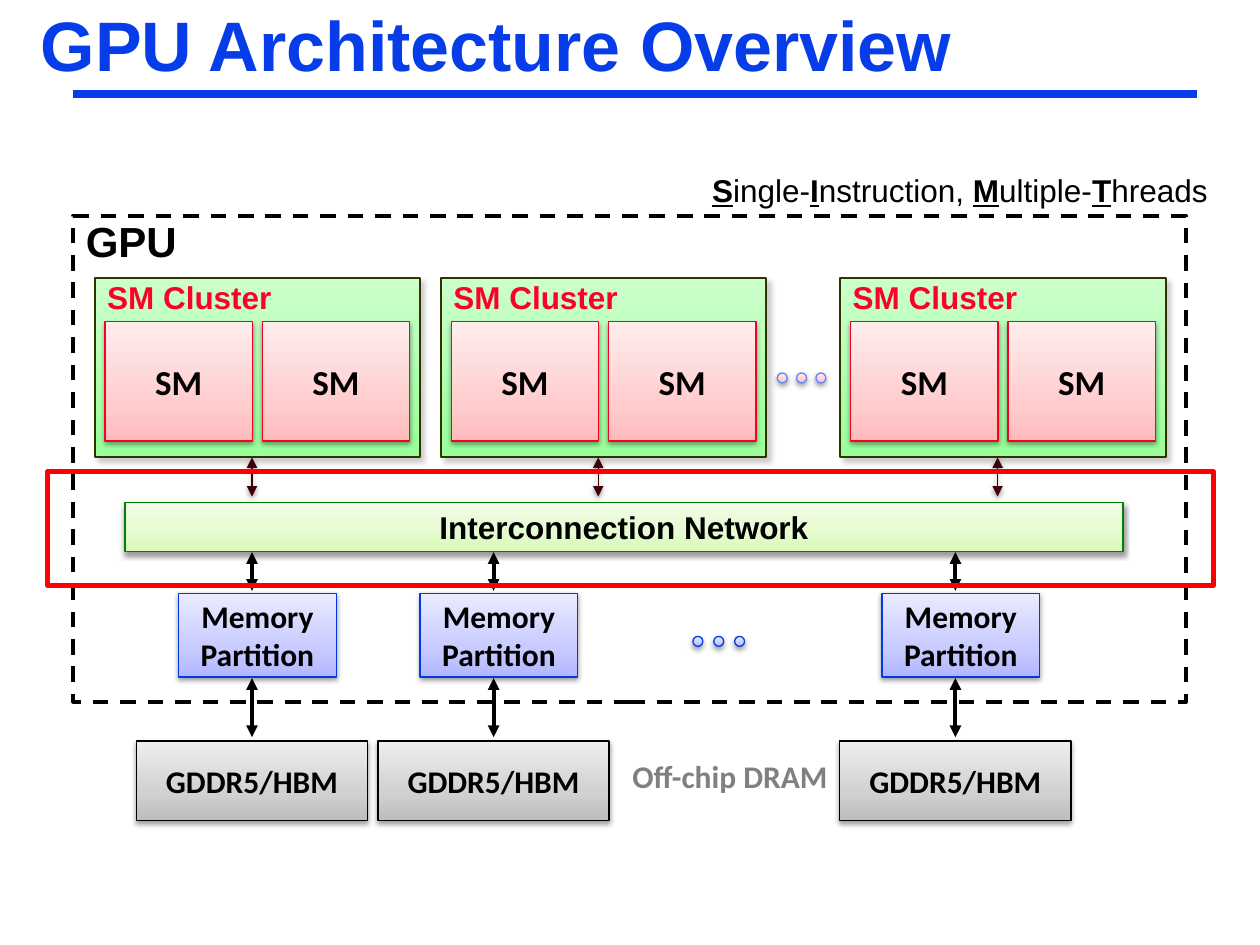
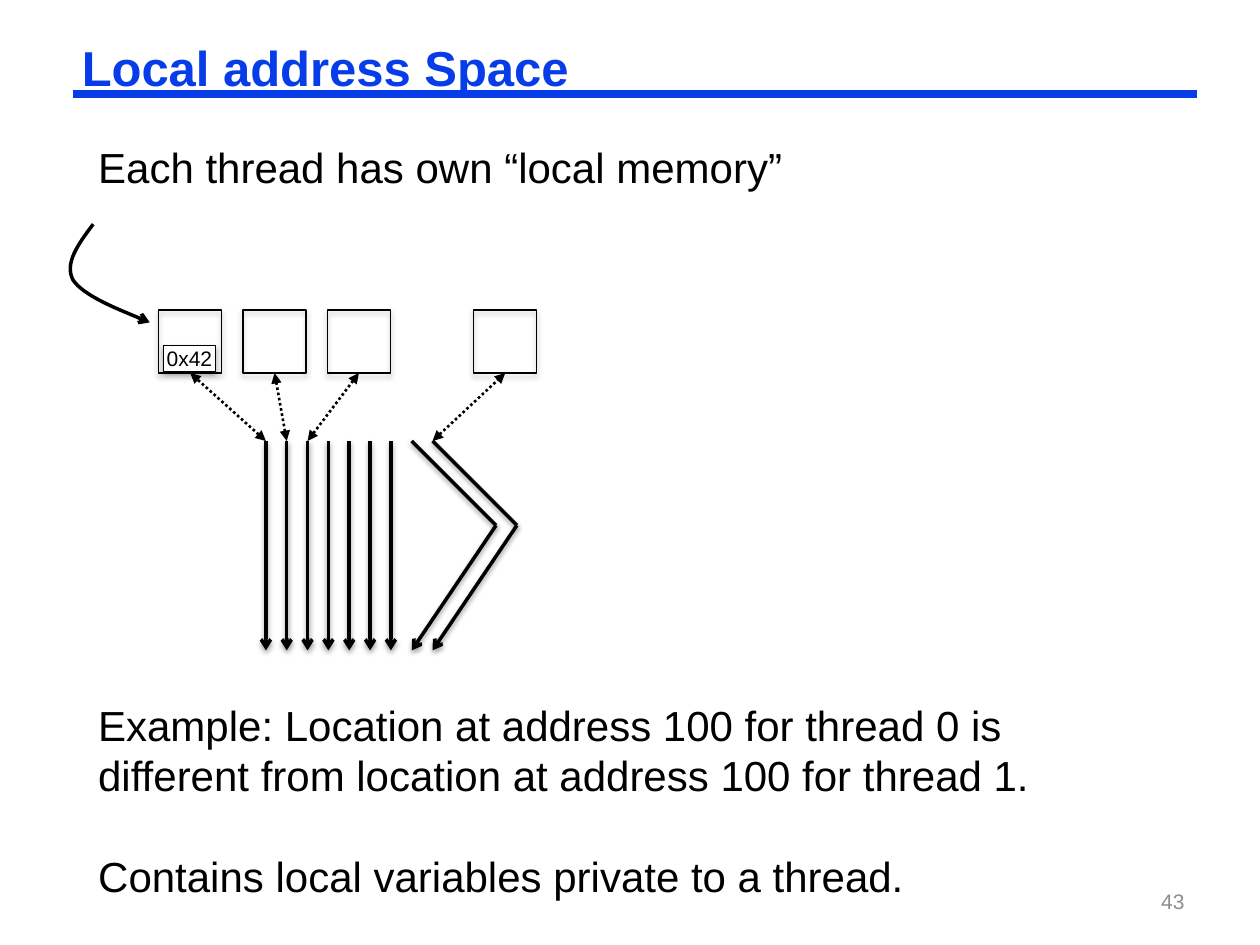
import lxml.etree
import pptx
import pptx.dml.color
import pptx.enum.dml
import pptx.enum.shapes
import pptx.enum.text
import pptx.oxml.ns
import pptx.util

Cm, Pt = pptx.util.Cm, pptx.util.Pt
qn = pptx.oxml.ns.qn
SHAPE = pptx.enum.shapes.MSO_SHAPE
DASH = pptx.enum.dml.MSO_LINE
ALIGN = pptx.enum.text.PP_ALIGN
ANCHOR = pptx.enum.text.MSO_ANCHOR

COLORS = {
    "title": "063DE8", "black": "000000", "white": "FFFFFF", "cluster text": "FC0128",
    "cluster edge": "333300", "sm edge": "F70026", "sm dot edge": "6086FB",
    "network edge": "008000", "memory edge": "0039E8", "cluster arrow": "3F000A",
    "off-chip": "808080", "page": "8C8C8C", "highlight": "FF0000",
}
# Gradient stops as (percent, colour), running from bottom to top
GRADIENTS = {
    "sm": [(0, "FFBBBC"), (35, "FFCFD0"), (100, "FFEDED")],
    "network": [(0, "DAFABB"), (50, "E7FBD4"), (100, "F3FDE9")],
    "memory": [(0, "B2B6FF"), (35, "C8CBFF"), (100, "EAEBFF")],
    "cluster": [(0, "99FF99"), (100, "CCFFCC")],
    "dram": [(0, "BDBDBD"), (35, "D1D1D1"), (100, "EEEEEE")],
}
# Shadows as opacity percent, blur and distance in points, direction in degrees
SOFT = (38, 3.1, 1.6, 90)
LIGHT = (35, 3.1, 1.8, 90)
CORNER = (20, 3, 3, 45)

MIDDLE = {"vertical_anchor": ANCHOR.MIDDLE}
INSETS = ("margin_left", "margin_top", "margin_right", "margin_bottom")
TITLE_FRAME = dict(zip(INSETS, map(Cm, (0.18, 0.08, 0.18, 0.08))))
LABEL_FRAME = {"margin_top": 0, "vertical_anchor": ANCHOR.TOP}
TIGHT_FRAME = {**MIDDLE, **dict.fromkeys(INSETS, 0)}
CENTER = {"alignment": ALIGN.CENTER}
LEFT = {"alignment": ALIGN.LEFT}


def rgb(name):
    return pptx.dml.color.RGBColor.from_string(COLORS[name])


def apply(target, values):
    for key, value in values.items():
        setattr(target, key, value)


def font(size, name="Arial", bold=False):
    return {"size": Pt(size), "name": name, "bold": bold}


def write(shape, paragraphs, style, color="black", frame=None, layout=LEFT):
    """Each paragraph is a string or a list of (text, font changes)."""
    text_frame = shape.text_frame
    apply(text_frame, {"word_wrap": True, **(frame or {})})
    for index, content in enumerate(paragraphs):
        paragraph = text_frame.add_paragraph() if index else text_frame.paragraphs[0]
        apply(paragraph, layout)
        for text, changes in [(content, {})] if isinstance(content, str) else content:
            run = paragraph.add_run()
            run.text = text
            apply(run.font, {**style, **changes})
            run.font.color.rgb = rgb(color)


def add_text(slide, place, paragraphs, style, **options):
    box = slide.shapes.add_textbox(*map(Cm, place))
    write(box, paragraphs, style, **options)
    return box


def set_shadow(shape, shadow):
    properties = shape.element.spPr
    effects = properties.find(qn("a:effectLst"))
    if effects is None:
        effects = lxml.etree.SubElement(properties, qn("a:effectLst"))
    if shadow:
        opacity, blur, distance, direction = shadow
        outer = lxml.etree.SubElement(
            effects, qn("a:outerShdw"), blurRad=str(int(Pt(blur))), dist=str(int(Pt(distance))),
            dir=str(direction * 60000), rotWithShape="0")
        tint = lxml.etree.SubElement(outer, qn("a:srgbClr"), val=COLORS["black"])
        lxml.etree.SubElement(tint, qn("a:alpha"), val=str(opacity * 1000))


def set_gradient(shape, stops):
    shape.fill.gradient()
    shape.fill.gradient_angle = 90
    stop_list = shape.element.spPr.find(".//" + qn("a:gsLst"))
    for stop in list(stop_list):
        stop_list.remove(stop)
    for percent, value in stops:
        stop = lxml.etree.SubElement(stop_list, qn("a:gs"), pos=str(percent * 1000))
        lxml.etree.SubElement(stop, qn("a:srgbClr"), val=value)


def set_line(shape, color, width, dash=None, head=None, tail=None):
    shape.line.color.rgb = rgb(color)
    shape.line.width = Pt(width)
    if dash:
        shape.line.dash_style = dash
    outline = shape.element.spPr.find(qn("a:ln"))
    for end, arrow in (("a:headEnd", head), ("a:tailEnd", tail)):
        if arrow:
            lxml.etree.SubElement(outline, qn(end), type=arrow)


def add_box(slide, place, edge="black", width=0.75, gradient=None, solid=None,
            shadow=SOFT, dash=None, kind=SHAPE.RECTANGLE):
    box = slide.shapes.add_shape(kind, *map(Cm, place))
    if gradient:
        set_gradient(box, GRADIENTS[gradient])
    elif solid:
        box.fill.solid()
        box.fill.fore_color.rgb = rgb(solid)
    else:
        box.fill.background()
    set_line(box, edge, width, dash)
    box.shadow.inherit = False
    set_shadow(box, shadow)
    return box


def add_line(slide, ends, color="black", width=2.25, shadow=None, **line):
    connector = slide.shapes.add_connector(
        pptx.enum.shapes.MSO_CONNECTOR.STRAIGHT, *map(Cm, ends))
    set_line(connector, color, width, **line)
    set_shadow(connector, shadow)
    return connector


def add_double_arrow(slide, x, top, bottom, **options):
    add_line(slide, (x, top, x, bottom), head="triangle", tail="triangle", **options)


def add_dots(slide, left, top, step, gradient, edge):
    for index in range(3):
        add_box(slide, (left + index * step, top, 0.2, 0.2), edge, gradient=gradient,
                kind=SHAPE.OVAL)


def add_curve(slide, start, controls):
    """Cubic curve; every three control points make one segment."""
    builder = slide.shapes.build_freeform(*map(Cm, start))
    builder.add_line_segments([(Cm(x), Cm(y)) for x, y in controls], close=False)
    curve = builder.convert_to_shape()
    segments = list(curve.element.iter(qn("a:lnTo")))
    outline = segments[0].getparent()
    for index, segment in enumerate(segments):
        if index % 3 == 0:
            bezier = lxml.etree.SubElement(outline, qn("a:cubicBezTo"))
        bezier.append(segment[0])
        outline.remove(segment)
    curve.fill.background()
    curve.shadow.inherit = False
    set_line(curve, "black", 2, tail="arrow")


def start_slide(deck, title, place, size):
    slide = deck.slides.add_slide(deck.slide_layouts[6])
    add_line(slide, (1.47, 1.9, 24.13, 1.9), "title", 4.5)
    add_text(slide, place, [title], font(size, bold=True), color="title",
             frame=TITLE_FRAME, layout={"line_spacing": 0.87})
    return slide


def add_cluster(slide, left):
    cluster = add_box(slide, (left, 5.61, 6.56, 3.61), "cluster edge", 1, "cluster",
                      shadow=CORNER)
    write(cluster, ["SM Cluster"], font(18, bold=True), "cluster text", LABEL_FRAME)
    for index in range(2):
        sm = add_box(slide, (left + 0.21 + index * 3.17, 6.48, 2.97, 2.41), "sm edge",
                     gradient="sm")
        write(sm, ["SM"], font(20, "Calibri", True), frame=MIDDLE, layout=CENTER)
    add_double_arrow(slide, left + 3.17, 9.22, 10.01, color="cluster arrow", width=0.75,
                     shadow=SOFT)


def add_memory_channel(slide, left):
    bold = font(18, "Calibri", True)
    partition = add_box(slide, (left, 11.96, 3.18, 1.69), "memory edge", gradient="memory")
    write(partition, ["Memory", "Partition"], bold, frame=MIDDLE, layout=CENTER)
    dram = add_box(slide, (left - 0.85, 14.94, 4.66, 1.6), gradient="dram")
    write(dram, ["GDDR5/HBM"], bold, frame=MIDDLE, layout=CENTER)
    for top, bottom in ((13.67, 14.86), (11.13, 11.91)):
        add_double_arrow(slide, left + 1.48, top, bottom)


def build_architecture(deck):
    slide = start_slide(deck, "GPU Architecture Overview", (0.64, 0.18, 22.66, 3.12), 40)

    # Execution model and chip outline
    initial = {"bold": True, "underline": True}
    model = [("S", initial), ("ingle-", {}), ("I", initial), ("nstruction, ", {}),
             ("M", initial), ("ultiple-", {}), ("T", initial), ("hreads", {})]
    add_text(slide, (14.17, 3.3, 10.36, 1.07), [model], font(18),
             frame=TIGHT_FRAME, layout=CENTER)
    chip = add_box(slide, (1.48, 4.35, 22.43, 9.8), width=2.25, shadow=None, dash=DASH.DASH)
    write(chip, ["GPU"], font(24, bold=True), frame=LABEL_FRAME)

    # Clusters, network and memory
    network = add_box(slide, (2.52, 10.13, 20.12, 0.99), "network edge", gradient="network")
    write(network, ["Interconnection Network"], font(18, bold=True), frame=MIDDLE,
          layout=CENTER)
    for left in (1.91, 8.89, 16.94):
        add_cluster(slide, left)
    add_dots(slide, 15.67, 7.52, 0.39, "sm", "sm dot edge")
    for left in (3.6, 8.47, 17.78):
        add_memory_channel(slide, left)
    add_dots(slide, 13.97, 12.83, 0.42, "memory", "memory edge")
    add_text(slide, (12.5, 15.14, 4.5, 1.02), ["Off-chip DRAM"],
             font(18, "Calibri", True), color="off-chip", frame={"word_wrap": False})

    # Highlight around the network
    add_box(slide, (0.96, 9.51, 23.5, 2.29), "highlight", 3, shadow=None)


def build_local_space(deck):
    slide = start_slide(deck, "Local address Space", (1.47, 0.84, 22.66, 1.17), 28)
    add_text(slide, (18.21, 17.65, 5.92, 1.02), ["43"], font(12), color="page",
             frame=MIDDLE, layout={"alignment": ALIGN.RIGHT})
    add_text(slide, (1.73, 2.72, 21.77, 1.27), ["Each thread has own “local memory”"],
             font(24))
    add_curve(slide, (1.88, 4.52), [(1.57, 4.93), (1.3, 5.31), (1.47, 5.64),
                                    (1.68, 5.97), (3.02, 6.5), (3.02, 6.5)])

    # Threads: seven straight, two diverging
    top, bend, bottom = 8.89, 10.59, 13.11
    threads = [5.36 + index * 0.42 for index in range(9)]
    for x in threads[:7]:
        add_line(slide, (x, top, x, bottom), width=2, shadow=SOFT, tail="arrow")
    for x in threads[7:]:
        add_line(slide, (x + 1.7, bend, x, bottom), width=2, shadow=SOFT, tail="arrow")
        add_line(slide, (x, top, x + 1.7, bend), width=2, shadow=SOFT)

    # Local memory of each thread
    for left, thread in ((3.2, 0), (4.9, 1), (6.6, 2), (9.55, 8)):
        memory = add_box(slide, (left, 6.25, 1.27, 1.27), shadow=LIGHT)
        access = add_line(slide, (threads[thread], top, left, 7.52), width=1.5,
                          dash=DASH.ROUND_DOT, head="triangle", tail="triangle")
        access.end_connect(memory, 2)
    value = add_box(slide, (3.3, 6.96, 1.04, 0.53), solid="white", shadow=LIGHT)
    write(value, ["0x42"], font(12), frame=TIGHT_FRAME, layout=CENTER)

    # Explanation
    example = add_text(slide, (1.73, 13.97, 21.77, 4.37), [
        "Example: Location at address 100 for thread 0 is different from location "
        "at address 100 for thread 1.",
        "Contains local variables private to a thread."], font(24))
    example.text_frame.paragraphs[1].space_before = Pt(29)


def main():
    deck = pptx.Presentation()
    deck.slide_width, deck.slide_height = Cm(25.4), Cm(19.05)
    build_architecture(deck)
    build_local_space(deck)
    deck.save("out.pptx")


if __name__ == "__main__":
    main()
